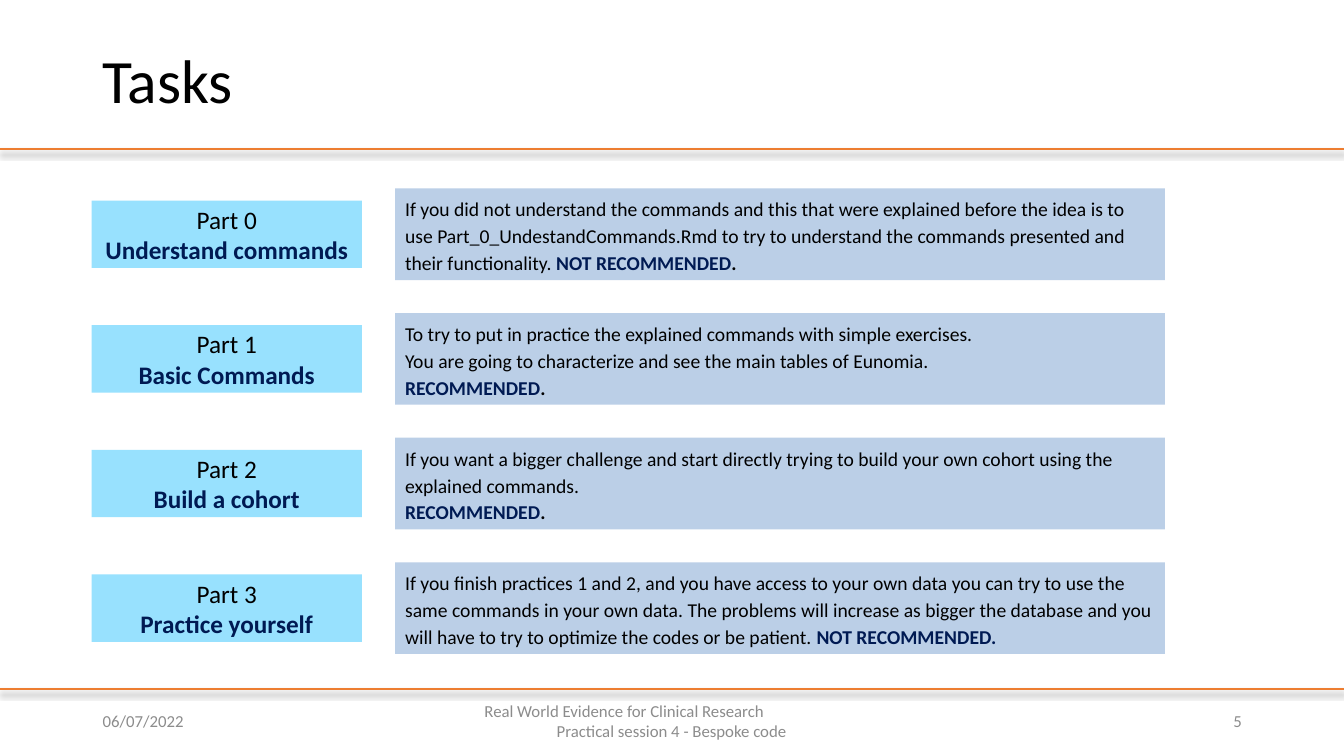
import pptx
import pptx.util
import pptx.dml.color
import pptx.enum.shapes
import pptx.enum.text
import pptx.oxml
import pptx.oxml.ns

Cm = pptx.util.Cm
Pt = pptx.util.Pt
ALIGN = pptx.enum.text.PP_ALIGN

COLOURS = {
    "black": "000000",
    "navy": "001A53",
    "grey": "8C8C8C",
    "orange": "ED7D31",
    "label": "98E1FE",
    "detail": "BBCFE7",
}
FONT = "Calibri"

TASKS = [
    ("Part 0", "Understand commands", [
        [("If you did not understand the commands and this that were explained before "
          "the idea is to use Part_0_UndestandCommands.Rmd to try to understand the "
          "commands presented and their functionality. ", "black", False),
         ("NOT RECOMMENDED", "navy", True), (".", "black", True)],
    ]),
    ("Part 1", "Basic Commands", [
        [("To try to put in practice the explained commands with simple exercises.",
          "black", False)],
        [("You are going to characterize and see the main tables of Eunomia.",
          "black", False)],
        [("RECOMMENDED", "navy", True), (".", "black", True)],
    ]),
    ("Part 2", "Build a cohort", [
        [("If you want a bigger challenge and start directly trying to build your own "
          "cohort using the explained commands.", "black", False)],
        [("RECOMMENDED", "navy", True), (".", "black", True)],
    ]),
    ("Part 3", "Practice yourself", [
        [("If you finish practices 1 and 2, and you have access to your own data you can "
          "try to use the same commands in your own data. The problems will increase as "
          "bigger the database and you will have to try to optimize the codes or be "
          "patient. ", "black", False),
         ("NOT RECOMMENDED.", "navy", True)],
    ]),
]

FOOTERS = [
    (2.34, 7.62, ALIGN.LEFT, [("06/07/2022", 0)]),
    (11.23, 11.43, ALIGN.LEFT, [("Real World Evidence for Clinical Research", 0.73),
                                ("Practical session 4 - Bespoke code", 2.55)]),
    (23.93, 7.62, ALIGN.RIGHT, [("5", 0)]),
]

PAGE_WIDTH, PAGE_HEIGHT = 33.87, 19.05
RULE_TOPS = (3.76, 17.37)
FIRST_TOP, ROW_PITCH = 4.75, 3.14
LABEL_LEFT, LABEL_WIDTH, LABEL_HEIGHT = 2.31, 6.81, 1.7
DETAIL_LEFT, DETAIL_WIDTH, DETAIL_HEIGHT = 9.96, 19.4, 2.31

RULE_SHADOW = (
    f'<a:effectLst {pptx.oxml.ns.nsdecls("a")}>'
    '<a:outerShdw blurRad="50800" dist="38100" dir="5400000" algn="t" rotWithShape="0">'
    '<a:srgbClr val="000000"><a:alpha val="40000"/></a:srgbClr>'
    '</a:outerShdw></a:effectLst>'
)


def colour(name):
    return pptx.dml.color.RGBColor.from_string(COLOURS[name])


def write(box, paragraphs, size, align=ALIGN.LEFT, spacing=None):
    frame = box.text_frame
    frame.word_wrap = True
    frame.vertical_anchor = pptx.enum.text.MSO_ANCHOR.MIDDLE
    for index, spans in enumerate(paragraphs):
        para = frame.add_paragraph() if index else frame.paragraphs[0]
        para.alignment = align
        if spacing:
            para.line_spacing = spacing
        for text, tint, bold in spans:
            span = para.add_run()
            span.text = text
            span.font.name = FONT
            span.font.size = Pt(size)
            span.font.bold = bold
            span.font.color.rgb = colour(tint)


def add_text(page, left, top, width, height):
    return page.shapes.add_textbox(Cm(left), Cm(top), Cm(width), Cm(height))


def add_panel(page, left, top, width, height, fill):
    panel = page.shapes.add_shape(pptx.enum.shapes.MSO_SHAPE.RECTANGLE,
                                  Cm(left), Cm(top), Cm(width), Cm(height))
    panel.shadow.inherit = False
    panel.fill.solid()
    panel.fill.fore_color.rgb = colour(fill)
    panel.line.fill.background()
    return panel


def add_rule(page, top):
    rule = page.shapes.add_connector(pptx.enum.shapes.MSO_CONNECTOR.STRAIGHT,
                                     Cm(0), Cm(top), Cm(PAGE_WIDTH), Cm(top))
    rule.line.color.rgb = colour("orange")
    rule.line.width = Pt(1.5)
    rule._element.spPr.append(pptx.oxml.parse_xml(RULE_SHADOW))


def main():
    deck = pptx.Presentation()
    deck.slide_width, deck.slide_height = Cm(PAGE_WIDTH), Cm(PAGE_HEIGHT)
    page = deck.slides.add_slide(deck.slide_layouts[6])

    for top in RULE_TOPS:
        add_rule(page, top)

    title = add_text(page, 2.34, 0.74, 23.04, 2.74)
    write(title, [[("Tasks", "black", False)]], 44, spacing=0.9)

    for left, width, align, lines in FOOTERS:
        footer = add_text(page, left, 17.65, width, 1.02)
        write(footer, [[(text, "grey", False)] for text, _ in lines], 12, align)
        for para, (_, indent) in zip(footer.text_frame.paragraphs, lines):
            if indent:
                para._p.get_or_add_pPr().set("marL", str(int(Cm(indent))))

    for row, (part, name, details) in enumerate(TASKS):
        top = FIRST_TOP + row * ROW_PITCH
        label_top = top + (DETAIL_HEIGHT - LABEL_HEIGHT) / 2
        label = add_panel(page, LABEL_LEFT, label_top, LABEL_WIDTH, LABEL_HEIGHT, "label")
        write(label, [[(part, "black", False)], [(name, "navy", True)]], 18, ALIGN.CENTER)
        detail = add_panel(page, DETAIL_LEFT, top, DETAIL_WIDTH, DETAIL_HEIGHT, "detail")
        write(detail, details, 14, spacing=1.14)

    deck.save("out.pptx")


if __name__ == "__main__":
    main()
